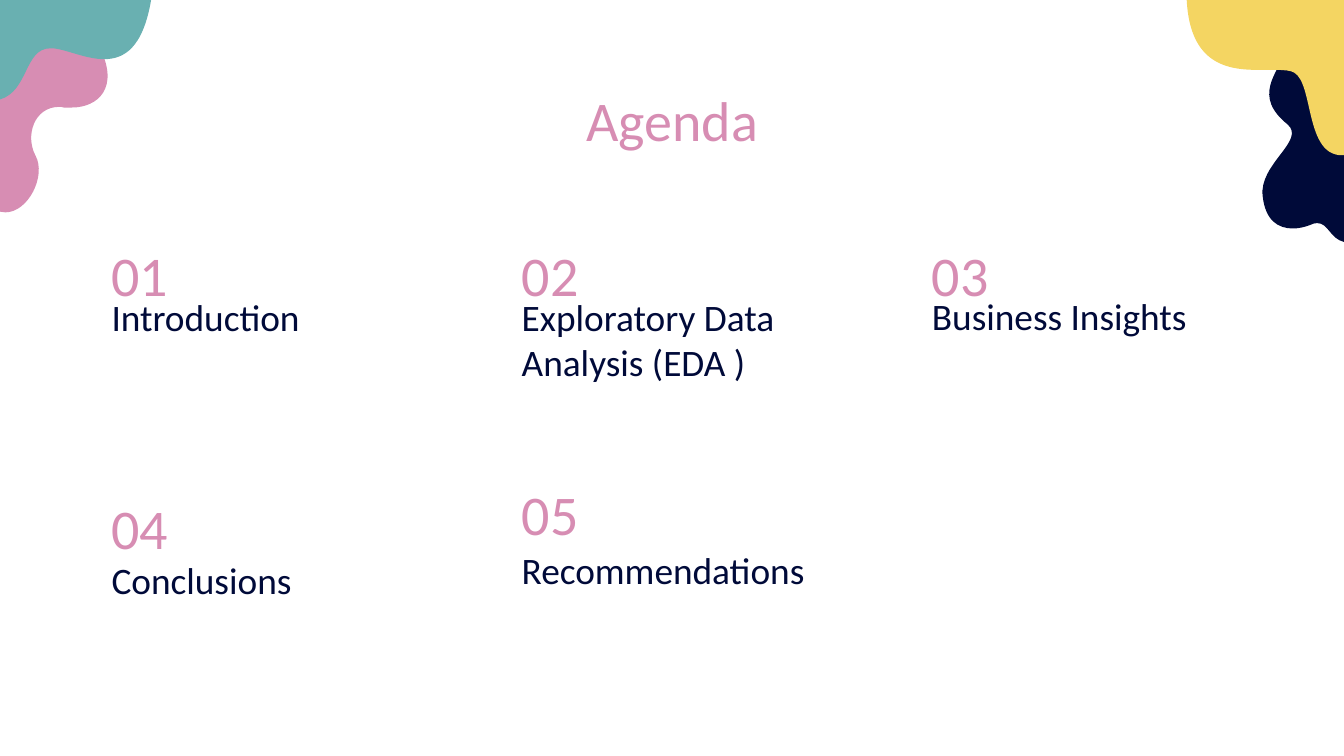
from lxml import etree
from pptx import Presentation
from pptx.dml.color import RGBColor
from pptx.enum.text import MSO_AUTO_SIZE, PP_ALIGN
from pptx.oxml.ns import qn
from pptx.util import Pt

GROW = MSO_AUTO_SIZE.SHAPE_TO_FIT_TEXT
LEFT, CENTER = PP_ALIGN.LEFT, PP_ALIGN.CENTER
COLORS = {"pink": "D78DB3", "navy": "000A39", "yellow": "F4D562", "teal": "69B0B1"}
FONT = "Calibri"

prs = Presentation()
prs.slide_width, prs.slide_height = Pt(1440), Pt(810)
slide = prs.slides.add_slide(prs.slide_layouts[6])


def add_blob(color, bounds, start, segments):
    """Draw a closed outline; a segment is a line (x, y) or a cubic curve (6 numbers)."""
    left, top, width, height = bounds
    right, bottom = left + width, top + height
    builder = slide.shapes.build_freeform(Pt(left), Pt(top))
    builder.add_line_segments([(Pt(right), Pt(top)), (Pt(right), Pt(bottom)),
                               (Pt(left), Pt(bottom))])
    blob = builder.convert_to_shape()
    blob.shadow.inherit = False
    blob.fill.solid()
    blob.fill.fore_color.rgb = RGBColor.from_string(COLORS[color])
    blob.line.fill.background()

    # The builder knows only straight lines, so the curves go in as XML
    outline = blob.element.find(".//" + qn("a:path"))
    for command in list(outline):
        outline.remove(command)
    for index, numbers in enumerate([start, *segments]):
        tag = "a:moveTo" if index == 0 else "a:lnTo" if len(numbers) == 2 else "a:cubicBezTo"
        command = etree.SubElement(outline, qn(tag))
        for x, y in zip(numbers[::2], numbers[1::2]):
            etree.SubElement(command, qn("a:pt"), x=str(int(Pt(x - left))), y=str(int(Pt(y - top))))
    etree.SubElement(outline, qn("a:close"))


def add_text(text, left, top, width, height, size, color, align=LEFT):
    box = slide.shapes.add_textbox(Pt(left), Pt(top), Pt(width), Pt(height))
    frame = box.text_frame
    frame.margin_left = frame.margin_right = frame.margin_top = frame.margin_bottom = 0
    frame.word_wrap = True
    frame.auto_size = GROW
    paragraph = frame.paragraphs[0]
    paragraph.alignment = align
    paragraph.line_spacing = Pt(size * 1.2)
    run = paragraph.add_run()
    run.text = text
    run.font.name = FONT
    run.font.size = Pt(size)
    run.font.color.rgb = RGBColor.from_string(COLORS[color])


# Corner decoration, back to front
add_blob("pink", (0, 49, 129.6, 178.5), (5.8, 227.5), [
    (3.6, 227.5, 2.2, 226.8, 0, 226.8),
    (0, 49),
    (105.8, 49),
    (129.6, 94.3, 104.4, 115.2, 77, 115.2),
    (74.2, 115.2, 71.3, 115.2, 68.4, 115.2),
    (67, 114.5, 64.8, 114.5, 63.4, 114.5),
    (36.7, 114.5, 26.6, 145.4, 38.2, 167),
    (49.7, 188.6, 30.2, 227.5, 5.8, 227.5),
])
add_blob("navy", (1342.1, 51.1, 97.9, 208.1), (1440, 259.2), [
    (1424.9, 255.6, 1423.4, 239, 1411.2, 239),
    (1409, 239, 1406.2, 239.8, 1403.3, 241.2),
    (1397.5, 243.4, 1391, 244.8, 1385.3, 244.8),
    (1369.4, 244.8, 1355.8, 236.2, 1352.9, 210.2),
    (1348.6, 175.7, 1399.7, 150.5, 1379.5, 133.2),
    (1342.1, 103, 1367.3, 79.2, 1381, 51.1),
    (1440, 51.1),
    (1440, 259.2),
])
add_blob("yellow", (1271.5, 0, 168.5, 166.3), (1271.5, 0), [
    (1275.1, 69.1, 1315.4, 74.9, 1348.6, 74.9),
    (1355, 74.9, 1362.2, 74.9, 1368, 74.9),
    (1375.9, 74.9, 1383.1, 75.6, 1386.7, 77.8),
    (1407.6, 90, 1398.2, 166.3, 1437.8, 166.3),
    (1438.6, 166.3, 1439.3, 166.3, 1440, 166.3),
    (1440, 0),
])
add_blob("teal", (0, -0.7, 162, 107.3), (0, -0.7), [
    (0, 106.6),
    (31, 97.2, 25.9, 51.8, 54, 51.8),
    (54.7, 51.8, 56.2, 51.8, 56.9, 51.8),
    (72, 53.3, 92.2, 63.4, 111.6, 63.4),
    (133.2, 63.4, 153.4, 51.1, 162, -0.7),
])

add_text("Agenda", 119.5, 91.4, 1201, 72.7, 60, "pink", CENTER)

# Topics in three columns: title, number top, title top, title height
COLUMNS, FIRST_LEFT, PITCH, TOPIC_WIDTH = 3, 119.5, 439.5, 321.8
topics = [
    ("Introduction", 257.4, 315.4, 47.5),
    ("Exploratory Data Analysis (EDA )", 257.4, 315.4, 94.3),
    ("Business Insights", 257.4, 314.6, 48.2),
    ("Conclusions", 528.5, 596.9, 48.2),
    ("Recommendations", 513.4, 586.1, 48.2),
]
for index, (title, number_top, title_top, title_height) in enumerate(topics):
    left = FIRST_LEFT + index % COLUMNS * PITCH
    add_text(f"{index + 1:02}", left, number_top, TOPIC_WIDTH, 38.9, 60, "pink")
    add_text(title, left, title_top, TOPIC_WIDTH, title_height, 40, "navy")

prs.save("out.pptx")
